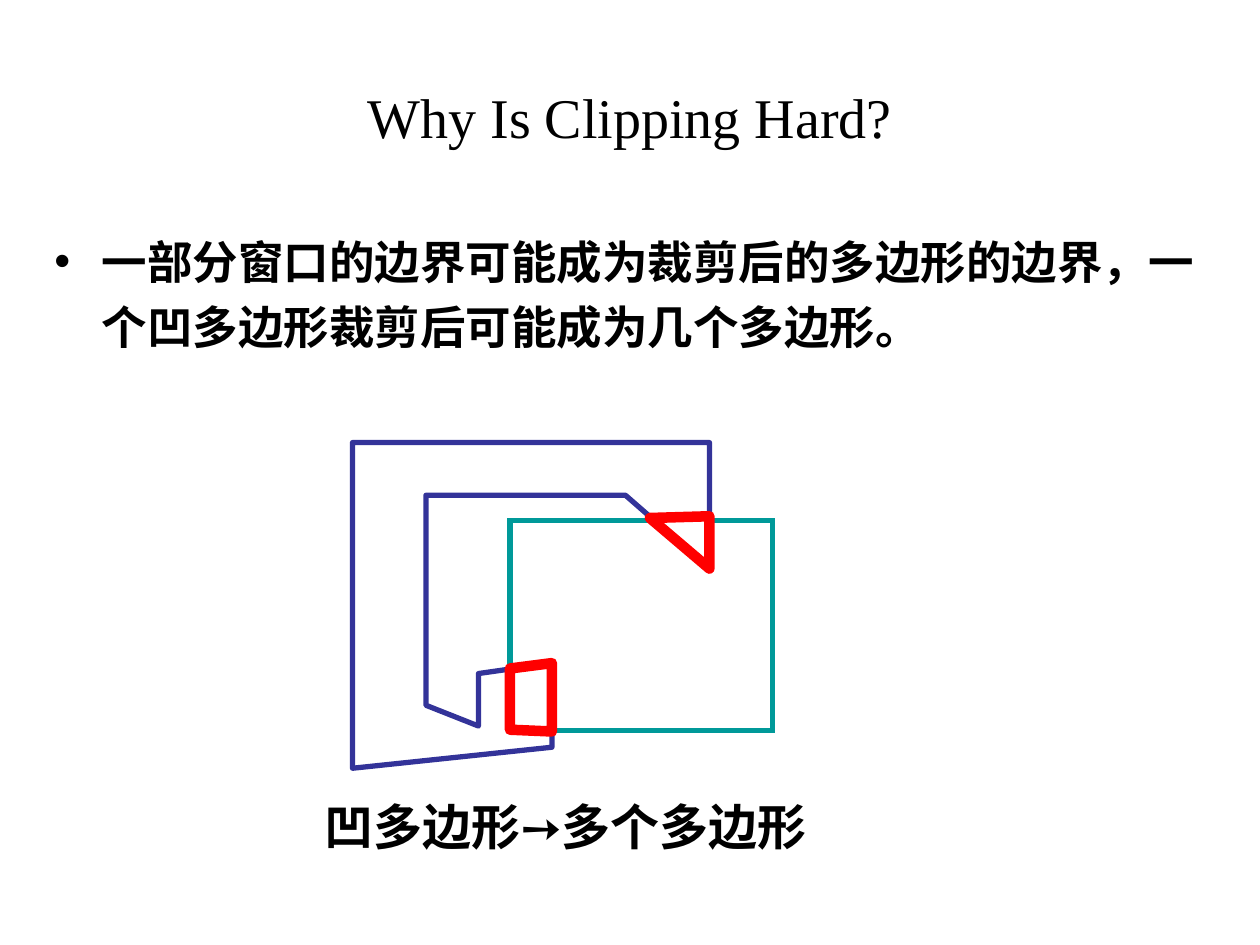
"""Build a slide on why polygon clipping is hard."""
from lxml.etree import SubElement
from pptx import Presentation
from pptx.dml.color import RGBColor
from pptx.enum.shapes import MSO_SHAPE
from pptx.enum.text import MSO_ANCHOR, MSO_AUTO_SIZE, PP_ALIGN
from pptx.oxml.ns import qn
from pptx.util import Pt

COLORS = {"text": "000000", "paper": "FFFFFF", "subject": "333399",
          "window": "009999", "clipped": "FF0000"}
CHINESE = "Noto Sans CJK SC"


def write(shape, box, text, font_format, frame_format, paragraph_format):
    shape.left, shape.top, shape.width, shape.height = [Pt(value) for value in box]
    frame = shape.text_frame
    frame.text = text
    paragraph = frame.paragraphs[0]
    run = paragraph.runs[0]
    run.font.color.rgb = RGBColor.from_string(COLORS["text"])
    for target, values in ((frame, frame_format), (paragraph, paragraph_format),
                           (run.font, font_format)):
        for name, value in values.items():
            setattr(target, name, value)
    SubElement(run.font._element, qn("a:ea"), typeface=font_format["name"])
    return paragraph


def outline(shape, color, width, filled=False):
    shape.shadow.inherit = False
    if filled:
        shape.fill.solid()
        shape.fill.fore_color.rgb = RGBColor.from_string(COLORS["paper"])
    else:
        shape.fill.background()
    shape.line.color.rgb = RGBColor.from_string(COLORS[color])
    shape.line.width = Pt(width)


presentation = Presentation()
presentation.slide_width, presentation.slide_height = Pt(720), Pt(540)
slide = presentation.slides.add_slide(presentation.slide_layouts[1])
title, body = slide.placeholders

bullet = write(
    body, (23.8, 123.8, 676, 356.4),
    "一部分窗口的边界可能成为裁剪后的多边形的边界，一个凹多边形裁剪后可能成为几个多边形。",
    {"name": CHINESE, "size": Pt(26), "bold": True},
    {"auto_size": MSO_AUTO_SIZE.NONE, "vertical_anchor": MSO_ANCHOR.TOP},
    {"line_spacing": 1.2, "space_before": Pt(0)})
properties = bullet._p.get_or_add_pPr()
properties.set("marL", str(Pt(27)))
properties.set("indent", str(Pt(-27)))
SubElement(properties, qn("a:buChar"), char="•")

write(title, (36, 21.6, 648, 90), "Why Is Clipping Hard?",
      {"name": "Times New Roman", "size": Pt(32), "bold": False},
      {"auto_size": MSO_AUTO_SIZE.NONE, "vertical_anchor": MSO_ANCHOR.MIDDLE},
      {"alignment": PP_ALIGN.CENTER})

subject_points = [
    (315.4, 427), (315.4, 378.9), (273.4, 384.9), (273.4, 414.9), (243.4, 403),
    (243.4, 283), (357.4, 283), (405.4, 324.9), (405.4, 252.9), (201.4, 252.9),
    (201.4, 439)]
lower_points = [(315.4, 418), (315.4, 378.9), (291.4, 382), (291.4, 417)]
upper_points = [(371.4, 296), (405.4, 324.9), (405.4, 295)]
polygons = [(subject_points, "subject", 3, False),
            (lower_points, "clipped", 6, True),
            (upper_points, "clipped", 6, True)]

diagram = slide.shapes.add_group_shape()
for number, (points, color, width, filled) in enumerate(polygons):
    corners = [(Pt(x), Pt(y)) for x, y in points]
    builder = diagram.shapes.build_freeform(*corners[0])
    builder.add_line_segments(corners[1:], close=True)
    outline(builder.convert_to_shape(), color, width, filled)
    if number == 0:
        window = diagram.shapes.add_shape(
            MSO_SHAPE.RECTANGLE, Pt(291.4), Pt(297.4), Pt(150), Pt(120))
        outline(window, "window", 3)
        SubElement(window.line._get_or_add_ln(), qn("a:miter"), lim="800000")

caption_box = [Pt(value) for value in (178.6, 451.4, 293, 41)]
write(slide.shapes.add_textbox(*caption_box), (178.6, 451.4, 293, 41),
      "凹多边形➙多个多边形",
      {"name": CHINESE, "size": Pt(28), "bold": True},
      {"auto_size": MSO_AUTO_SIZE.SHAPE_TO_FIT_TEXT, "word_wrap": False,
       "vertical_anchor": MSO_ANCHOR.MIDDLE}, {})

presentation.save("out.pptx")
